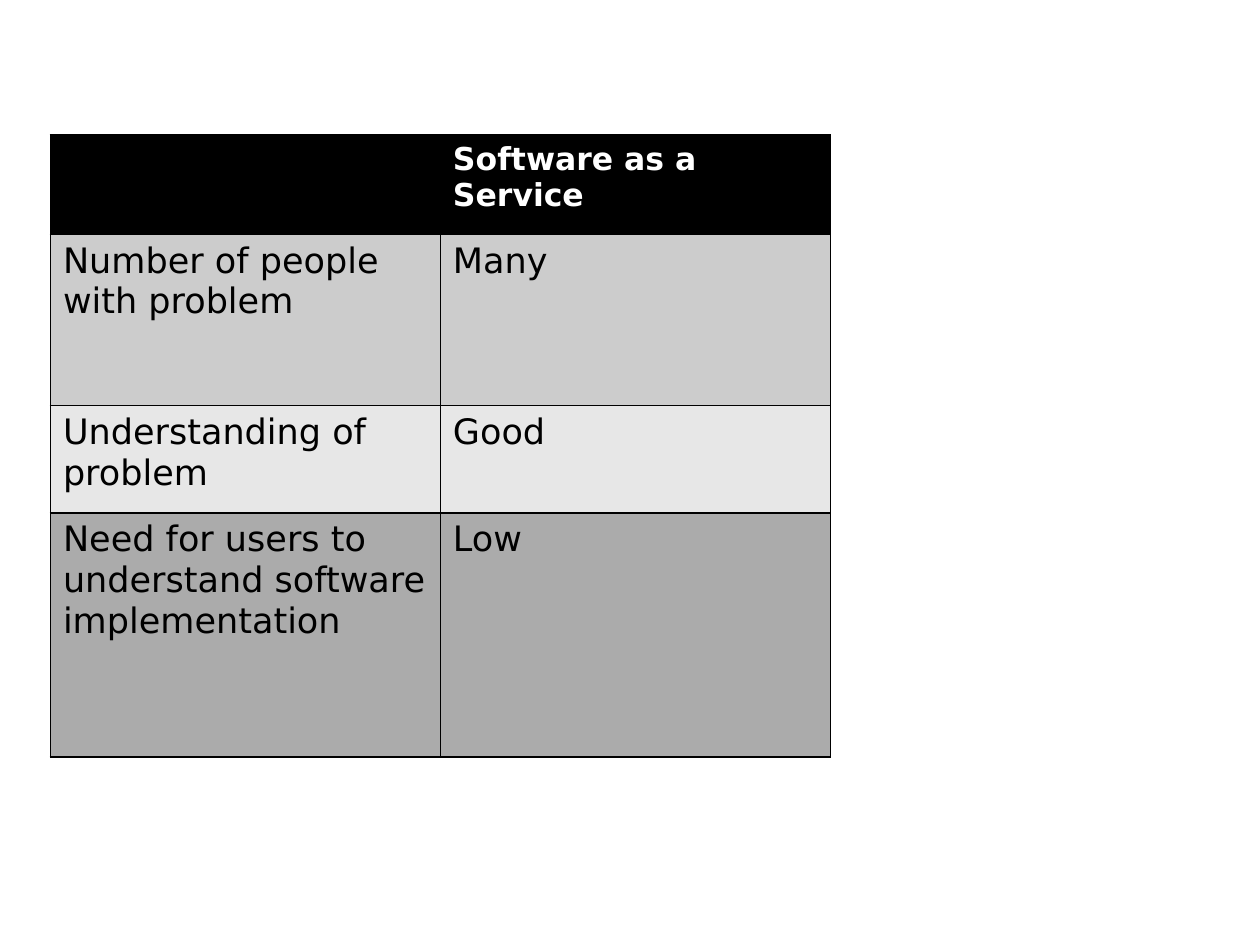
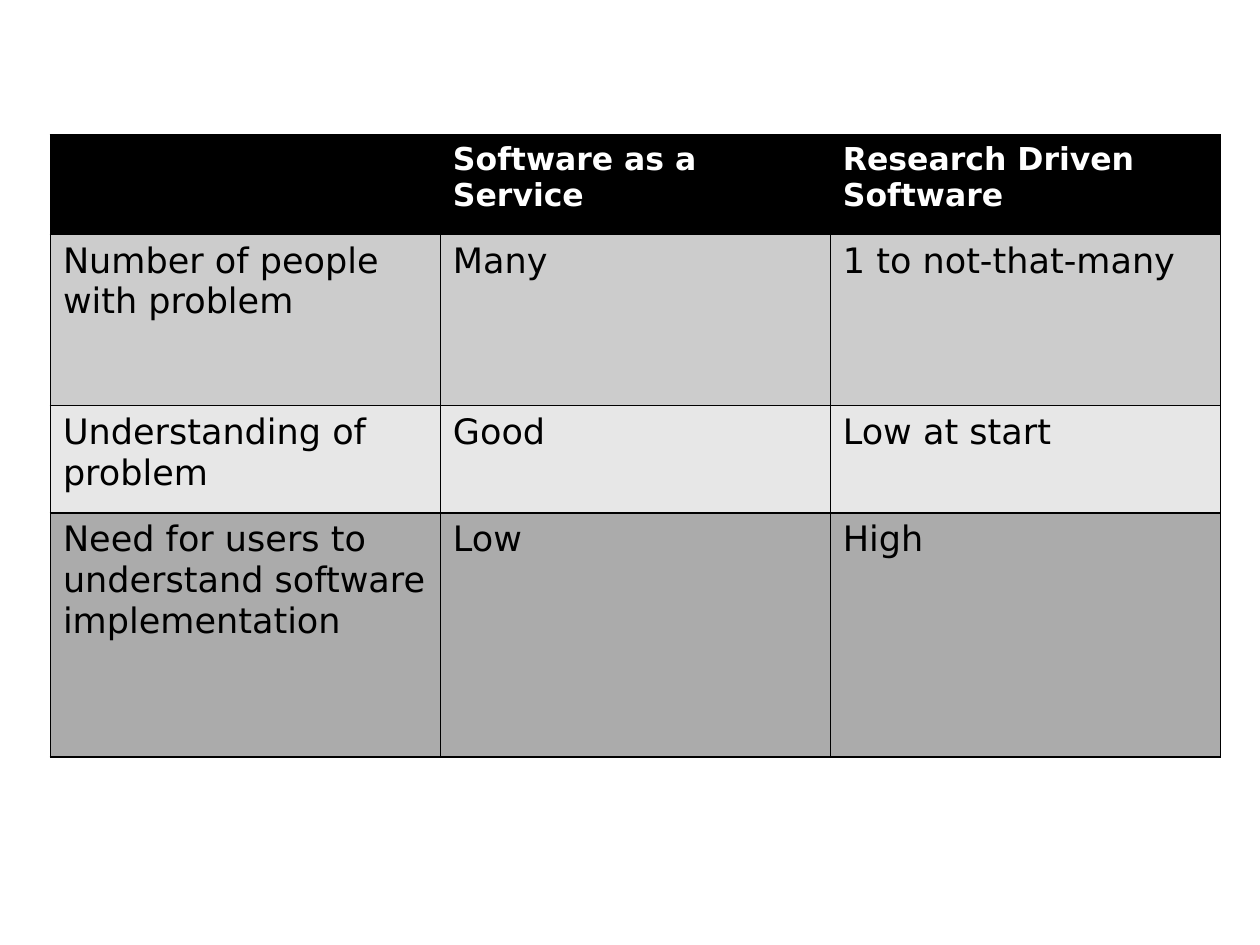
from pptx import Presentation
from pptx.dml.color import RGBColor
from pptx.oxml.ns import qn
from pptx.util import Inches, Pt
from lxml.etree import SubElement

# Content: the second slide reveals one more column
COMPARISON = [
    ("", "Software as a Service", "Research Driven Software"),
    ("Number of people with problem", "Many", "1 to not-that-many"),
    ("Understanding of problem", "Good", "Low at start"),
    ("Need for users to understand software implementation", "Low", "High"),
]
COLUMNS_SHOWN = [2, 3]

# Shared style
COLORS = {
    "header": "000000",
    "header_text": "FFFFFF",
    "text": "000000",
    "border": "000000",
}
ROW_FILLS = [COLORS["header"], "CCCCCC", "E7E7E7", "ABABAB"]
ROW_HEIGHTS = [0.79, 1.36, 0.85, 1.94]
LEFT, TOP, COLUMN_WIDTH = 0.4, 1.07, 3.095
FONT = "DejaVu Sans"


def add_borders(cell):
    properties = cell._tc.get_or_add_tcPr()
    for side in ("a:lnL", "a:lnR", "a:lnT", "a:lnB"):
        border = SubElement(properties, qn(side), w=str(Pt(1)))
        fill = SubElement(border, qn("a:solidFill"))
        SubElement(fill, qn("a:srgbClr"), val=COLORS["border"])


def style_cell(cell, text, fill, is_header):
    add_borders(cell)
    cell.fill.solid()
    cell.fill.fore_color.rgb = RGBColor.from_string(fill)
    cell.text_frame.text = text
    font = cell.text_frame.paragraphs[0].font
    font.name = FONT
    font.size = Pt(18 if is_header else 20)
    font.bold = is_header
    font.color.rgb = RGBColor.from_string(COLORS["header_text" if is_header else "text"])


def add_comparison(slide, column_count):
    comparison = slide.shapes.add_table(
        len(COMPARISON), column_count, Inches(LEFT), Inches(TOP),
        Inches(COLUMN_WIDTH * column_count), Inches(sum(ROW_HEIGHTS))).table
    for column in comparison.columns:
        column.width = Inches(COLUMN_WIDTH)
    for r, (texts, height, fill) in enumerate(zip(COMPARISON, ROW_HEIGHTS, ROW_FILLS)):
        comparison.rows[r].height = Inches(height)
        for c, text in enumerate(texts[:column_count]):
            style_cell(comparison.cell(r, c), text, fill, is_header=r == 0)


def main():
    deck = Presentation()
    deck.slide_width, deck.slide_height = Inches(10), Inches(7.5)
    blank_layout = deck.slide_layouts[6]
    for column_count in COLUMNS_SHOWN:
        add_comparison(deck.slides.add_slide(blank_layout), column_count)
    deck.save("out.pptx")


if __name__ == "__main__":
    main()
